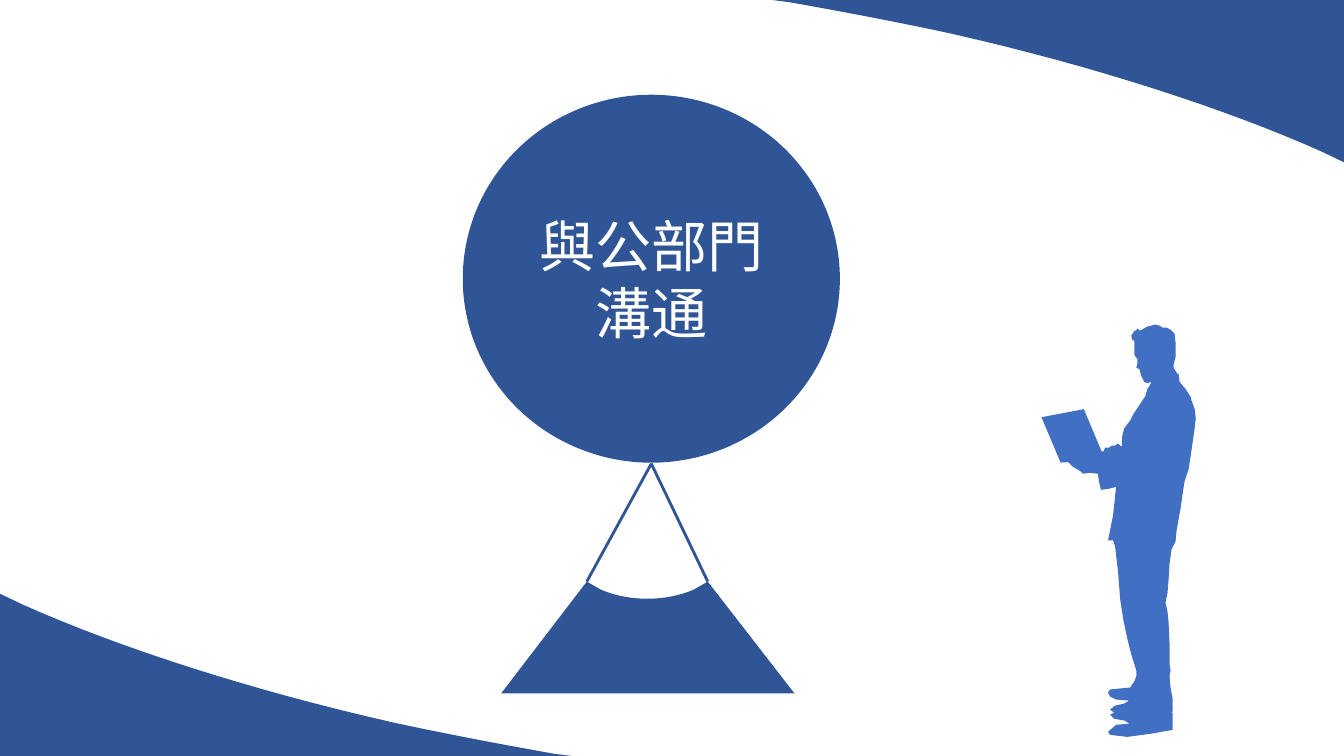
from dataclasses import dataclass

from lxml.etree import SubElement
from pptx import Presentation
from pptx.dml.color import RGBColor
from pptx.enum.shapes import MSO_CONNECTOR as Connector, MSO_SHAPE as Shape
from pptx.enum.text import MSO_ANCHOR as Anchor, PP_ALIGN as Align
from pptx.oxml.ns import qn
from pptx.util import Inches, Pt

CELL = Inches(0.01)  # the slide is a grid of 1333 columns by 750 rows
COLUMNS, ROWS = 1333, 750
SWOOSH_WIDTH, SWOOSH_HEIGHT = 567, 161


@dataclass(frozen=True)
class Theme:
    navy: RGBColor = RGBColor(0x2F, 0x55, 0x97)
    blue: RGBColor = RGBColor(0x40, 0x6F, 0xC4)
    white: RGBColor = RGBColor(0xFF, 0xFF, 0xFF)
    font: str = "Roboto"
    text_size: Pt = Pt(40)
    line_width: Pt = Pt(2)


THEME = Theme()

BODY = [
    (124, 3), (120, 3), (117, 1), (113, 0), (105, 2), (98, 6), (95, 4), (93, 7),
    (93, 5), (89, 11), (90, 15), (92, 16), (92, 30), (95, 34), (95, 39), (94, 43),
    (97, 44), (99, 51), (102, 57), (105, 58), (109, 57), (107, 61), (105, 64),
    (103, 71), (91, 89), (88, 95), (82, 103), (80, 111), (80, 121), (78, 120),
    (76, 118), (73, 120), (70, 120), (67, 122), (63, 122), (62, 125), (49, 134),
    (43, 135), (26, 136), (31, 141), (38, 145), (41, 148), (48, 147), (56, 148),
    (57, 156), (59, 164), (66, 163), (74, 161), (71, 189), (66, 214), (71, 214),
    (73, 220), (76, 246), (78, 272), (81, 292), (85, 311), (89, 327), (94, 343),
    (94, 349), (92, 354), (88, 360), (68, 362), (66, 365), (68, 369), (74, 372),
    (87, 373), (82, 376), (73, 378), (68, 382), (76, 388), (88, 389), (100, 389),
    (112, 386), (121, 387), (130, 384), (130, 371), (128, 360), (127, 349),
    (128, 343), (127, 337), (127, 316), (126, 295), (125, 285), (123, 276),
    (125, 266), (126, 254), (127, 237), (129, 223), (133, 215), (134, 204),
    (138, 182), (141, 161), (142, 155), (144, 149), (146, 143), (148, 130),
    (150, 116), (152, 102), (153, 93), (152, 84), (149, 76), (148, 72), (143, 64),
    (137, 57), (136, 49), (135, 49), (133, 46), (131, 43), (131, 40), (133, 32),
    (133, 18), (132, 9), (128, 5),
]
FOOT = [
    (130, 385), (121, 382), (112, 383), (98, 380), (88, 380), (78, 382), (68, 387),
    (72, 391), (83, 393), (87, 396), (74, 397), (66, 404), (68, 407), (85, 409),
    (108, 406), (130, 402),
]
LAPTOP = [(86, 133), (86, 129), (61, 129), (42, 84), (0, 92), (19, 137)]


def curve(start, first_control, second_control, end, steps=16):
    """Points along a cubic Bezier curve, both ends included."""
    points = []
    for step in range(steps + 1):
        t = step / steps
        weights = ((1 - t) ** 3, 3 * t * (1 - t) ** 2, 3 * t * t * (1 - t), t ** 3)
        controls = (start, first_control, second_control, end)
        points.append(tuple(
            sum(weight * control[axis] for weight, control in zip(weights, controls))
            for axis in (0, 1)))
    return points


def paint(shape, color):
    shape.fill.solid()
    shape.fill.fore_color.rgb = color
    shape.line.fill.background()
    shape.shadow.inherit = False


def add_outline(shapes, left, top, points, color):
    """Fill the polygon whose points are grid steps from left and top."""
    corners = [((left + x) * CELL, (top + y) * CELL) for x, y in points]
    builder = shapes.build_freeform(*corners[0])
    builder.add_line_segments(corners[1:])
    shape = builder.convert_to_shape()
    paint(shape, color)
    return shape


def add_swoosh(shapes, left, top, rotation=0):
    points = [
        (0, 0),
        *curve((23, 11), (115, 52), (245, 95), (391, 128)),
        *curve((391, 128), (447, 140), (500, 150), (551, 159)),
        (SWOOSH_WIDTH, SWOOSH_HEIGHT), (0, SWOOSH_HEIGHT),
    ]
    add_outline(shapes, left, top, points, THEME.navy).rotation = rotation


def add_circle(shapes, left, top, width, height, lines):
    circle = shapes.add_shape(Shape.OVAL, left * CELL, top * CELL, width * CELL, height * CELL)
    paint(circle, THEME.navy)
    frame = circle.text_frame
    frame.word_wrap = True
    frame.vertical_anchor = Anchor.MIDDLE
    frame.text = "\n".join(lines)
    for paragraph in frame.paragraphs:
        paragraph.alignment = Align.CENTER
        paragraph.font.name = THEME.font
        paragraph.font.size = THEME.text_size
        paragraph.font.color.rgb = THEME.white


def add_strut(shapes, start, end):
    strut = shapes.add_connector(
        Connector.STRAIGHT, *(value * CELL for value in (*start, *end)))
    strut.line.color.rgb = THEME.navy
    strut.line.width = THEME.line_width
    SubElement(strut._element.spPr, qn("a:effectLst"))


def add_emblem(slide, left, top, lines):
    """Circle balanced on two struts above a pedestal with a hollow top."""
    shapes = slide.shapes.add_group_shape().shapes
    add_circle(shapes, left, top, 374, 365, lines)
    pedestal_left, pedestal_top = left + 38, top + 483
    hollow = [
        (85, 0),
        *curve((99, 8), (113, 14), (129, 17), (145, 17)),
        *curve((145, 17), (161, 17), (177, 14), (191, 8)),
        (205, 0),
    ]
    add_outline(shapes, pedestal_left, pedestal_top,
                [*hollow, (291, 111), (0, 111)], THEME.navy)
    for x, y in (hollow[0], hollow[-1]):
        add_strut(shapes, (left + 187, top + 366), (pedestal_left + x, pedestal_top + y))


def add_reader(slide, left, top):
    """Silhouette of a standing man with a laptop."""
    shapes = slide.shapes.add_group_shape().shapes
    for points in (FOOT, BODY, LAPTOP):
        add_outline(shapes, left, top, points, THEME.blue)


def main():
    presentation = Presentation()
    presentation.slide_width = COLUMNS * CELL
    presentation.slide_height = ROWS * CELL
    slide = presentation.slides.add_slide(presentation.slide_layouts[6])
    add_swoosh(slide.shapes, 0, ROWS - SWOOSH_HEIGHT)
    add_swoosh(slide.shapes, COLUMNS - SWOOSH_WIDTH, 0, rotation=180)
    add_emblem(slide, 459, 94, ["與公部門", "溝通"])
    add_reader(slide, 1033, 322)
    presentation.save("out.pptx")


if __name__ == "__main__":
    main()
